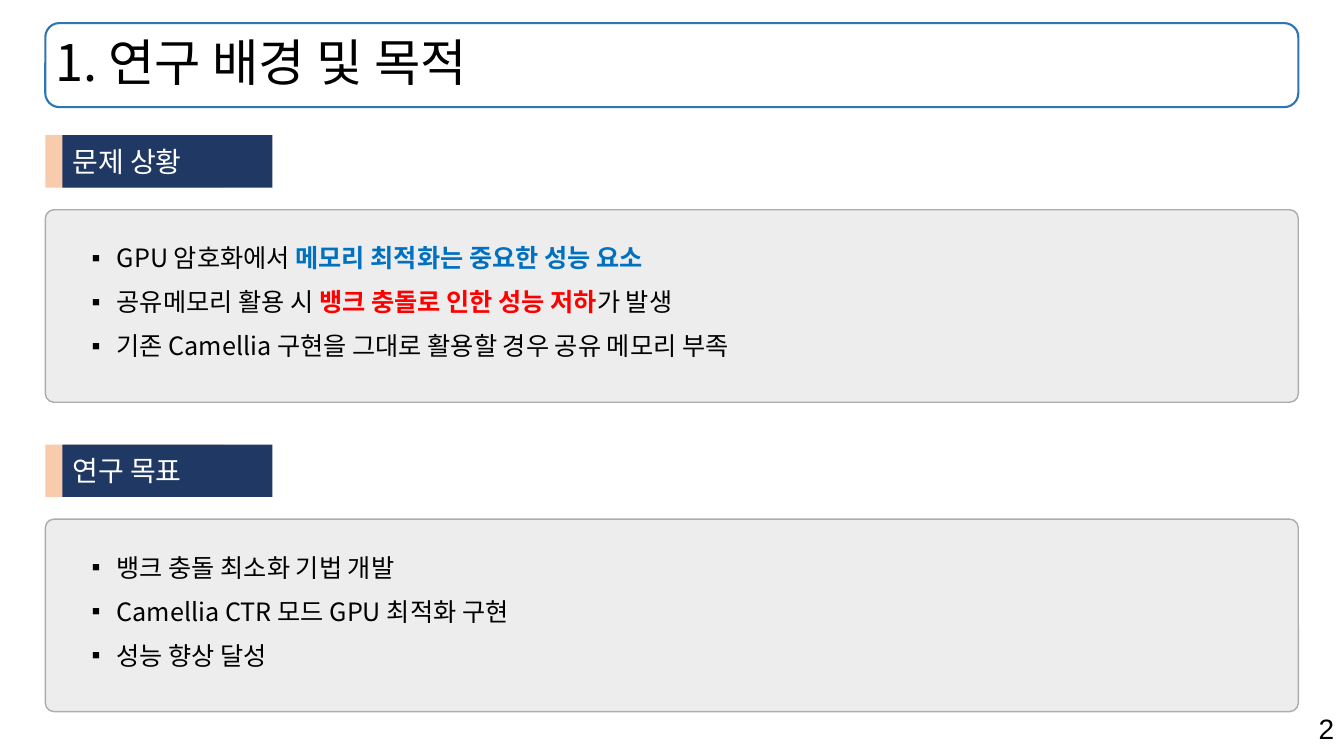
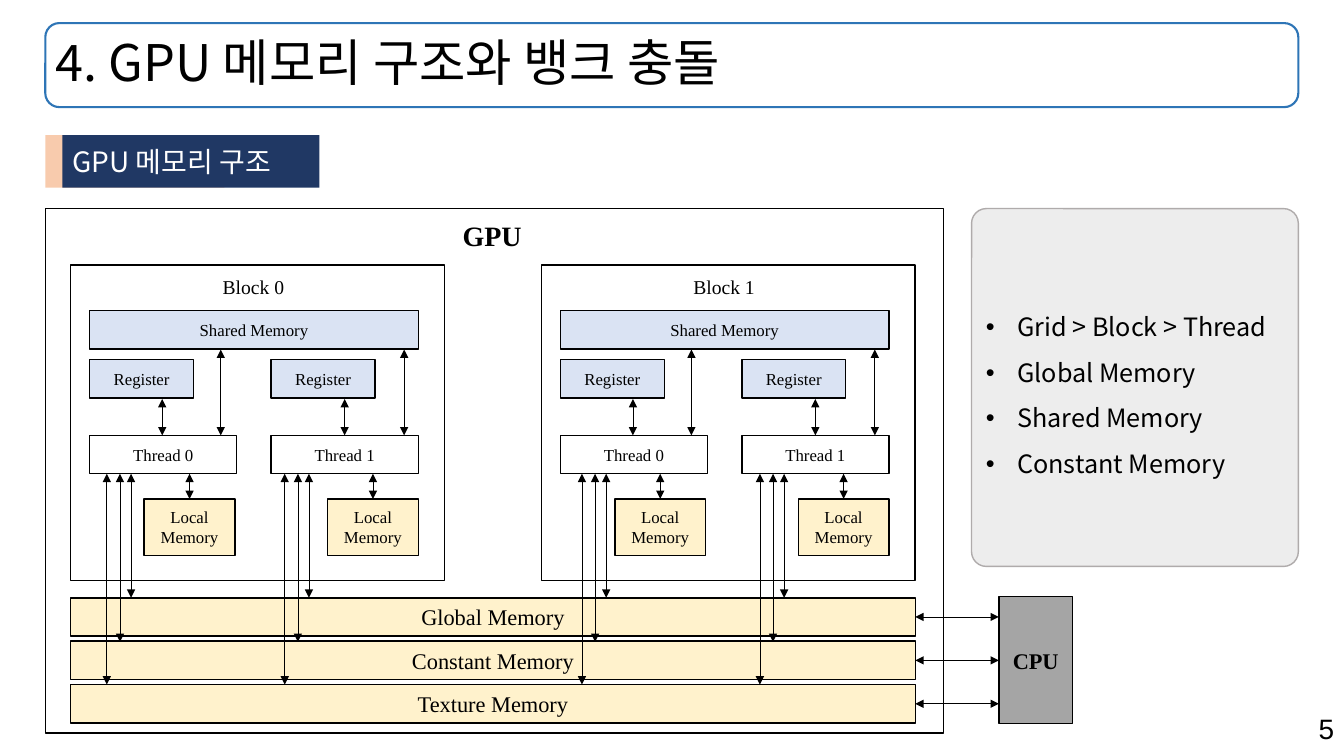
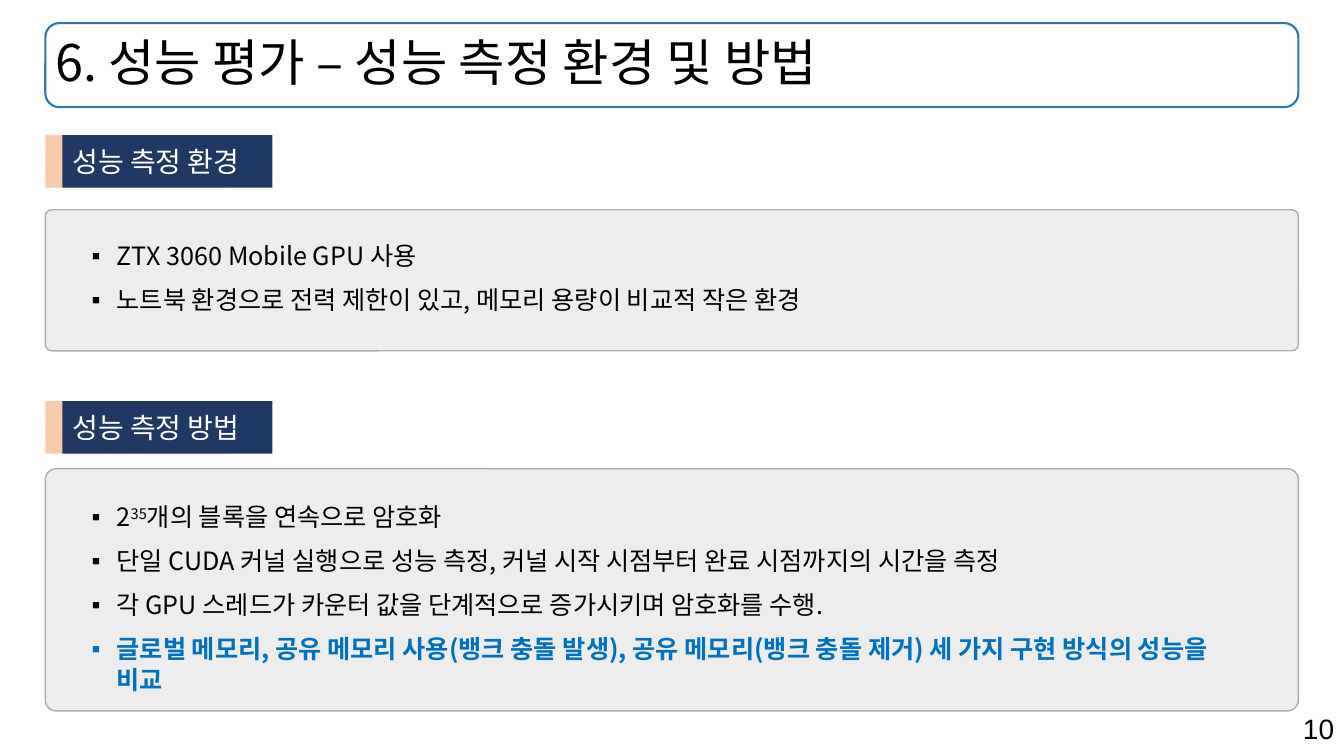
from lxml import etree
from pptx import Presentation
from pptx.dml.color import RGBColor
from pptx.enum.shapes import MSO_CONNECTOR, MSO_SHAPE
from pptx.enum.text import MSO_ANCHOR, PP_ALIGN
from pptx.oxml.ns import qn
from pptx.util import Pt

RECT, ROUND = MSO_SHAPE.RECTANGLE, MSO_SHAPE.ROUNDED_RECTANGLE
LINE = MSO_CONNECTOR.STRAIGHT
TOP, MID = MSO_ANCHOR.TOP, MSO_ANCHOR.MIDDLE
LEFT, MIDST, RIGHT = PP_ALIGN.LEFT, PP_ALIGN.CENTER, PP_ALIGN.RIGHT

SANS, SERIF, PLAIN = "Noto Sans CJK KR", "Times New Roman", "Arial"
BLACK, WHITE, NAVY, PEACH = "000000", "FFFFFF", "203864", "F8CBAD"
FRAME, PALE, EDGE = "2E75B6", "EDEDED", "AFABAB"
BLUE, RED = "0070C0", "FF0000"
SKY, CREAM, GRAY = "DAE3F3", "FFF2CC", "A5A5A5"
STYLES = {
    "": {},
    "blue": {"color": BLUE, "bold": True},
    "red": {"color": RED, "bold": True},
    "sup": {"base": 30},
}

SIDE, WIDE = 32.4, 895

GOALS = {
    "title": "1. 연구 배경 및 목적",
    "page": "2",
    "parts": [
        ("문제 상황", 96.5, 149.8, 137.5, 20, [
            [("GPU 암호화에서 ", ""), ("메모리 최적화는 중요한 성능 요소", "blue")],
            [("공유메모리 활용 시 ", ""), ("뱅크 충돌로 인한 성능 저하", "red"), ("가 발생", "")],
            "기존 Camellia 구현을 그대로 활용할 경우 공유 메모리 부족",
        ]),
        ("연구 목표", 317.5, 370.8, 137.5, 20, [
            "뱅크 충돌 최소화 기법 개발",
            "Camellia CTR 모드 GPU 최적화 구현",
            "성능 향상 달성",
        ]),
    ],
}

MEMORY = {
    "title": "4. GPU 메모리 구조와 뱅크 충돌",
    "page": "5",
    "tab": "GPU 메모리 구조",
    "notes": ["Grid > Block > Thread", "Global Memory", "Shared Memory", "Constant Memory"],
    "buses": ["Global Memory", "Constant Memory", "Texture Memory"],
    "blocks": [("Block 0", 50.4, 0), ("Block 1", 386.6, 3.2)],
    "threads": ["Thread 0", "Thread 1"],
}

TESTS = {
    "title": "6. 성능 평가 – 성능 측정 환경 및 방법",
    "page": "10",
    "parts": [
        ("성능 측정 환경", 96.5, 149.8, 100.8, 18.5, [
            "ZTX 3060 Mobile GPU 사용",
            "노트북 환경으로 전력 제한이 있고, 메모리 용량이 비교적 작은 환경",
        ]),
        ("성능 측정 방법", 286.5, 334.8, 173, 20, [
            [("2", ""), ("35", "sup"), ("개의 블록을 연속으로 암호화", "")],
            "단일 CUDA 커널 실행으로 성능 측정, 커널 시작 시점부터 완료 시점까지의 시간을 측정",
            "각 GPU 스레드가 카운터 값을 단계적으로 증가시키며 암호화를 수행.",
            [("글로벌 메모리, 공유 메모리 사용(뱅크 충돌 발생), 공유 메모리(뱅크 충돌 제거) "
              "세 가지 구현 방식의 성능을 비교", "blue")],
        ]),
    ],
}

LOCALS = [(65.5, 130.3, 311, 285), (107.3, 131, 311, 249.7), (85, 131, 338.4, 356.4)]
BUSES = [(43.2, 427), (35.3, 458.5), (25.9, 489)]


def rgb(code):
    return RGBColor.from_string(code)


def ink(run, size, face, color=BLACK, bold=False, base=0):
    font = run.font
    font.size, font.bold, font.name = Pt(size), bold, face
    font.color.rgb = rgb(color)
    props = run._r.get_or_add_rPr()
    etree.SubElement(props, qn("a:ea")).set("typeface", face)
    if base:
        props.set("baseline", str(base * 1000))


def write(shape, paras, size, face=SANS, color=BLACK, bold=False, align=LEFT,
          anchor=MID, wrap=True, mark=None, hang=0, pitch=None, gap=0):
    frame = shape.text_frame
    frame.word_wrap, frame.vertical_anchor = wrap, anchor
    for n, parts in enumerate(paras):
        para = frame.paragraphs[0] if n == 0 else frame.add_paragraph()
        para.alignment = align
        if pitch:
            para.line_spacing = pitch
        if gap and n:
            para.space_before = Pt(gap)
        if mark:
            props = para._p.get_or_add_pPr()
            props.set("marL", str(Pt(hang)))
            props.set("indent", str(-Pt(hang)))
            etree.SubElement(props, qn("a:buFont")).set("typeface", PLAIN)
            etree.SubElement(props, qn("a:buChar")).set("char", mark)
        if isinstance(parts, str):
            parts = [(parts, "")]
        for text, style in parts:
            run = para.add_run()
            run.text = text
            ink(run, size, face, **{"color": color, "bold": bold, **STYLES[style]})


def box(slide, x, y, w, h, fill=None, line=None, width=1, kind=RECT, curve=None):
    shape = slide.shapes.add_shape(kind, Pt(x), Pt(y), Pt(w), Pt(h))
    shape.shadow.inherit = False
    if fill:
        shape.fill.solid()
        shape.fill.fore_color.rgb = rgb(fill)
    else:
        shape.fill.background()
    if line:
        shape.line.color.rgb = rgb(line)
        shape.line.width = Pt(width)
    else:
        shape.line.fill.background()
    if curve:
        shape.adjustments[0] = curve
    return shape


def label(slide, x, y, w, h, paras, size, **look):
    write(slide.shapes.add_textbox(Pt(x), Pt(y), Pt(w), Pt(h)), paras, size, **look)


def cell(slide, x, y, w, h, text, fill=None, size=12, bold=False):
    shape = box(slide, x, y, w, h, fill, BLACK)
    write(shape, text.split("\n"), size, SERIF, bold=bold, align=MIDST)


def arrow(slide, x1, y1, x2, y2):
    link = slide.shapes.add_connector(LINE, Pt(x1), Pt(y1), Pt(x2), Pt(y2))
    link.line.color.rgb = rgb(BLACK)
    link.line.width = Pt(0.5)
    line = link.line._get_or_add_ln()
    for end in ("a:headEnd", "a:tailEnd"):
        etree.SubElement(line, qn(end)).set("type", "triangle")
    etree.SubElement(link._element.spPr, qn("a:effectLst"))


def start(deck, data):
    slide = deck.slides.add_slide(deck.slide_layouts[6])
    label(slide, 679, 504.7, 281, 31.5, [data["page"]], 20, face=PLAIN, align=RIGHT, anchor=TOP)
    head = box(slide, SIDE, 16.5, WIDE, 60, line=FRAME, width=1.5, kind=ROUND)
    head.text_frame.word_wrap = True
    label(slide, SIDE, 16.5, WIDE, 60, [data["title"]], 36, pitch=0.9)
    return slide


def tab(slide, y, text, w=150):
    box(slide, SIDE, y, 128, 37.5, PEACH)
    write(box(slide, 44.6, y, w, 37.5, NAVY), [text], 20, color=WHITE)


def panel(slide, x, y, w, h):
    return box(slide, x, y, w, h, PALE, EDGE, kind=ROUND, curve=0.045)


def listing(deck, data):
    slide = start(deck, data)
    for name, high, y, h, drop, items in data["parts"]:
        tab(slide, high, name)
        panel(slide, SIDE, y, WIDE, h)
        label(slide, 58.3, y + drop, 842.4, h - 2 * drop, items, 18, anchor=TOP,
              mark="▪", hang=18, pitch=Pt(21.5), gap=10)


def block(slide, name, x, shift, threads):
    box(slide, x, 189.4, 267.1, 225.4, line=BLACK)
    label(slide, x + 101.5, 193, 59, 24.5, [name], 14, face=SERIF, anchor=TOP, wrap=False)
    cell(slide, x + 13.7, 221.8, 234.7, 27.4, "Shared Memory", SKY)
    for n, thread in enumerate(threads):
        left = x + 13.7 + 129.6 * n
        cell(slide, left, 257, 74.2, 27.4, "Register", SKY)
        cell(slide, left, 311, 105.1, 27.4, thread)
        cell(slide, x + 52.6 + 131 * n, 356.4, 64.8, 40.3, "Local\nMemory", CREAM)
        for dx, step, y1, y2 in LOCALS:
            arrow(slide, x + dx + step * n, y1, x + dx + step * n, y2)
        for dx, y in BUSES:
            at = x + shift + dx + 127.1 * n
            arrow(slide, at, y, at, 338.4)


def diagram(deck, data):
    slide = start(deck, data)
    tab(slide, 96.5, data["tab"], 183.5)
    box(slide, SIDE, 149, 641.5, 374.5, line=BLACK)
    label(slide, 323.3, 152.6, 57, 31.5, ["GPU"], 20, face=SERIF, bold=True,
          anchor=TOP, wrap=False)
    cell(slide, 713.5, 426.2, 52.6, 90.7, "CPU", GRAY, 16, True)
    for n, bus in enumerate(data["buses"]):
        y = 427 + 31 * n
        cell(slide, 50.4, y, 603.4, 27.4, bus, CREAM, 16)
        arrow(slide, 653.8, y + 13.7, 713.5, y + 13.7)
    for name, x, shift in data["blocks"]:
        block(slide, name, x, shift, data["threads"])
    write(panel(slide, 694, 149, 233.4, 255.6), data["notes"], 18,
          mark="•", hang=22.5, pitch=Pt(32.5))


def main():
    deck = Presentation()
    deck.slide_width, deck.slide_height = Pt(960), Pt(540)
    listing(deck, GOALS)
    diagram(deck, MEMORY)
    listing(deck, TESTS)
    deck.save("out.pptx")


if __name__ == "__main__":
    main()
